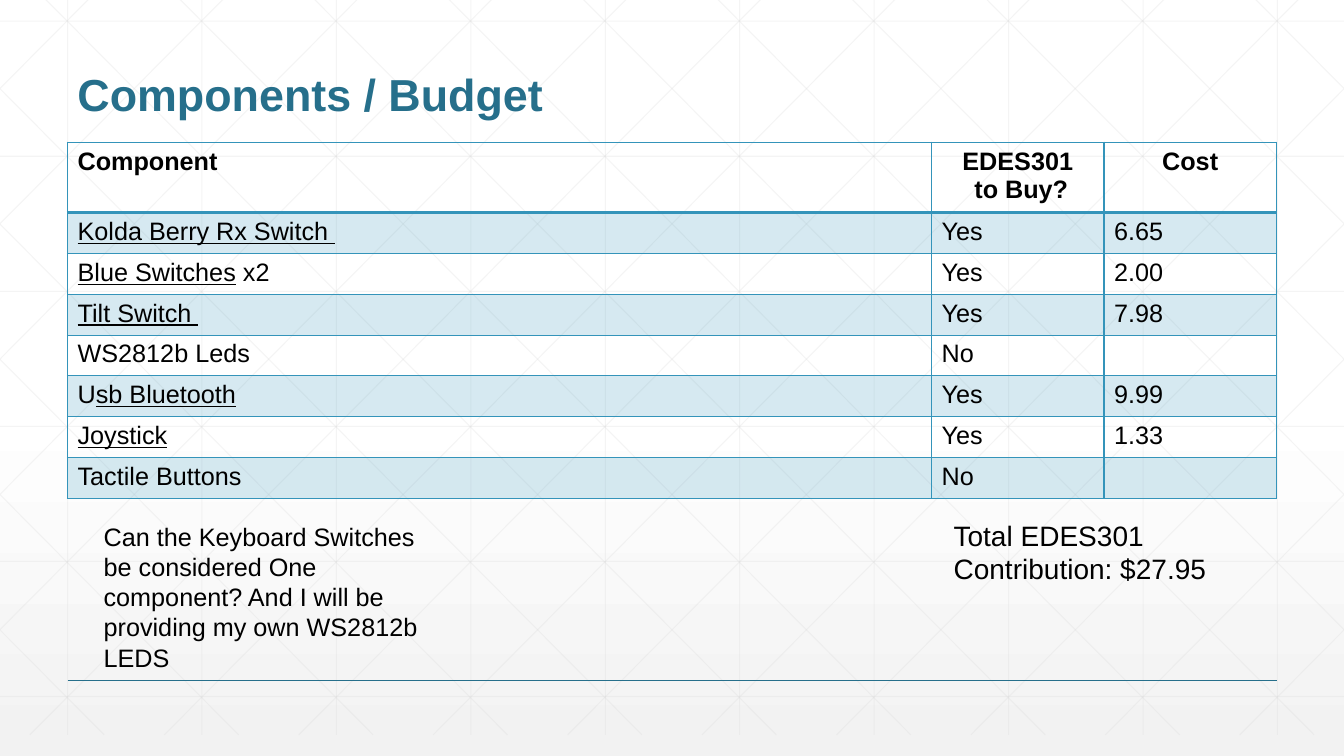
"""Build the Components / Budget slide with its component cost table."""
import copy

import pptx
import pptx.dml.color
import pptx.enum.shapes
import pptx.enum.text
import pptx.oxml.ns
import pptx.util
from lxml import etree

Inches, Pt, qn = pptx.util.Inches, pptx.util.Pt, pptx.oxml.ns.qn
ALIGN, ANCHOR = pptx.enum.text.PP_ALIGN, pptx.enum.text.MSO_ANCHOR

COLORS = {"title": "266F8B", "accent": "3494BA", "text": "000000", "grid": "D8D8D8"}
BACKGROUND = [(0, "FFFFFF"), (0.53, "FFFFFF"), (1, "F2F2F2")]
TITLE = "Components / Budget"
NOTE = ("Can the Keyboard Switches be considered One component? "
        "And I will be providing my own WS2812b LEDS")
TOTAL = "Total EDES301 Contribution: $27.95"
HEADER = [["Component"], ["EDES301", " to Buy?"], ["Cost"]]
ROWS = [
    ([("Kolda Berry Rx Switch ", True)], "Yes", "6.65"),
    ([("Blue Switches", True), (" x2", False)], "Yes", "2.00"),
    ([("Tilt Switch ", True)], "Yes", "7.98"),
    ([("WS2812b Leds", False)], "No", ""),
    ([("U", False), ("sb Bluetooth", True)], "Yes", "9.99"),
    ([("Joystick", True)], "Yes", "1.33"),
    ([("Tactile Buttons", False)], "No", ""),
]
COL_WIDTHS = [8.57, 1.71, 1.71]
TABLE_H = 3.24
WIDTH, HEIGHT = 13.33, 7.5
GRID_TOP, GRID_BOTTOM, GRID_STEP = -0.21, 7.29, 4 / 3
DIAGONAL_X, DIAGONAL_RUN = 0.25, 7.45
FORMATS = {
    "title": {"size": Pt(32), "name": "Arial", "bold": True},
    "header": {"size": Pt(18), "name": "Arial", "bold": True},
    "body": {"size": Pt(18), "name": "Arial", "bold": False},
    "total": {"size": Pt(20), "name": "Arial", "bold": False},
}


def rgb(name):
    return pptx.dml.color.RGBColor.from_string(COLORS[name])


def set_alpha(element, percent):
    color = element.find(".//" + qn("a:srgbClr"))
    etree.SubElement(color, qn("a:alpha"), val=str(percent * 1000))


def add_run(p, text, kind, color="text", underline=False):
    r = p.add_run()
    r.text = text
    for key, value in FORMATS[kind].items():
        setattr(r.font, key, value)
    r.font.underline = underline
    r.font.color.rgb = rgb(color)


def add_text(s, box, text, kind, color="text", spacing=1.0, inset=0.05, anchor=ANCHOR.TOP):
    tf = s.shapes.add_textbox(*map(Inches, box)).text_frame
    settings = {"word_wrap": True, "vertical_anchor": anchor,
                "margin_top": Inches(inset), "margin_bottom": Inches(inset)}
    for key, value in settings.items():
        setattr(tf, key, value)
    p = tf.paragraphs[0]
    p.line_spacing = spacing
    add_run(p, text, kind, color)


def add_line(s, x1, y1, x2, y2, color="grid", width=0.75, alpha=25):
    line = s.shapes.add_connector(pptx.enum.shapes.MSO_CONNECTOR.STRAIGHT,
                                  *map(Inches, (x1, y1, x2, y2)))
    line.line.color.rgb = rgb(color)
    line.line.width = Pt(width)
    if alpha < 100:
        set_alpha(line._element, alpha)
    etree.SubElement(line._element.spPr, qn("a:effectLst"))


def add_background(s):
    fill = s.background.fill
    fill.gradient()
    fill.gradient_angle = 270
    stops = s._element.find(".//" + qn("a:gsLst"))
    stops.append(copy.deepcopy(stops[0]))
    for stop, (position, color) in zip(fill.gradient_stops, BACKGROUND):
        stop.position = position
        stop.color.rgb = pptx.dml.color.RGBColor.from_string(color)


def add_grid(s):
    for i in range(10):
        x = 0.67 + i * GRID_STEP
        add_line(s, x, GRID_TOP, x, GRID_BOTTOM)
    for i in range(6):
        y = 0.21 + i * 1.34
        add_line(s, 0, y, WIDTH, y)
    slope = (GRID_BOTTOM - GRID_TOP) / DIAGONAL_RUN
    for i in range(-5, 10):
        start = DIAGONAL_X + i * GRID_STEP
        x1, x2 = max(start, 0), min(start + DIAGONAL_RUN, WIDTH)
        y1, y2 = (GRID_TOP + (x - start) * slope for x in (x1, x2))
        add_line(s, x1, y1, x2, y2)
        add_line(s, WIDTH - x1, y1, WIDTH - x2, y2)


def style_cell(cell, shaded, top, bottom):
    tc_pr = cell._tc.get_or_add_tcPr()
    if shaded:
        cell.fill.solid()
        cell.fill.fore_color.rgb = rgb("accent")
        set_alpha(tc_pr, 20)
    else:
        cell.fill.background()
    for i, (side, width) in enumerate([("L", 1), ("R", 1), ("T", top), ("B", bottom)]):
        border = etree.Element(qn("a:ln" + side), w=str(Pt(width)))
        solid = etree.SubElement(border, qn("a:solidFill"))
        etree.SubElement(solid, qn("a:srgbClr"), val=COLORS["accent"])
        tc_pr.insert(i, border)


def add_budget(s):
    table = s.shapes.add_table(len(ROWS) + 1, len(COL_WIDTHS), Inches(0.67), Inches(1.41),
                               Inches(sum(COL_WIDTHS)), Inches(TABLE_H)).table
    table.horz_banding = False
    for column, width in zip(table.columns, COL_WIDTHS):
        column.width = Inches(width)
    for i, row in enumerate(table.rows):
        row.height = Inches(TABLE_H / (len(ROWS) + 1))
        for cell in row.cells:
            style_cell(cell, i % 2 == 1, 2 if i == 1 else 1, 1 if i else 2)
    for j, lines in enumerate(HEADER):
        tf = table.cell(0, j).text_frame
        for n, text in enumerate(lines):
            p = tf.add_paragraph() if n else tf.paragraphs[0]
            p.alignment = ALIGN.CENTER if j else ALIGN.LEFT
            add_run(p, text, "header")
    for i, (parts, buy, cost) in enumerate(ROWS, 1):
        for j, runs in enumerate([parts, [(buy, False)], [(cost, False)]]):
            p = table.cell(i, j).text_frame.paragraphs[0]
            for text, underline in runs:
                add_run(p, text, "body", underline=underline)


def main():
    prs = pptx.Presentation()
    prs.slide_width, prs.slide_height = Inches(WIDTH), Inches(HEIGHT)
    s = prs.slides.add_slide(prs.slide_layouts[6])
    add_background(s)
    add_grid(s)
    add_line(s, 0.67, 6.75, 12.67, 6.75, "title", 1, 100)
    add_text(s, (0.67, 0.25, 12, 1), TITLE, "title", "title", 0.9, anchor=ANCHOR.BOTTOM)
    add_budget(s)
    add_text(s, (0.93, 5.12, 3.6, 1.62), NOTE, "body")
    add_text(s, (9.36, 5.04, 3.3, 1.09), TOTAL, "total", inset=0.1)
    prs.save("out.pptx")


if __name__ == "__main__":
    main()
